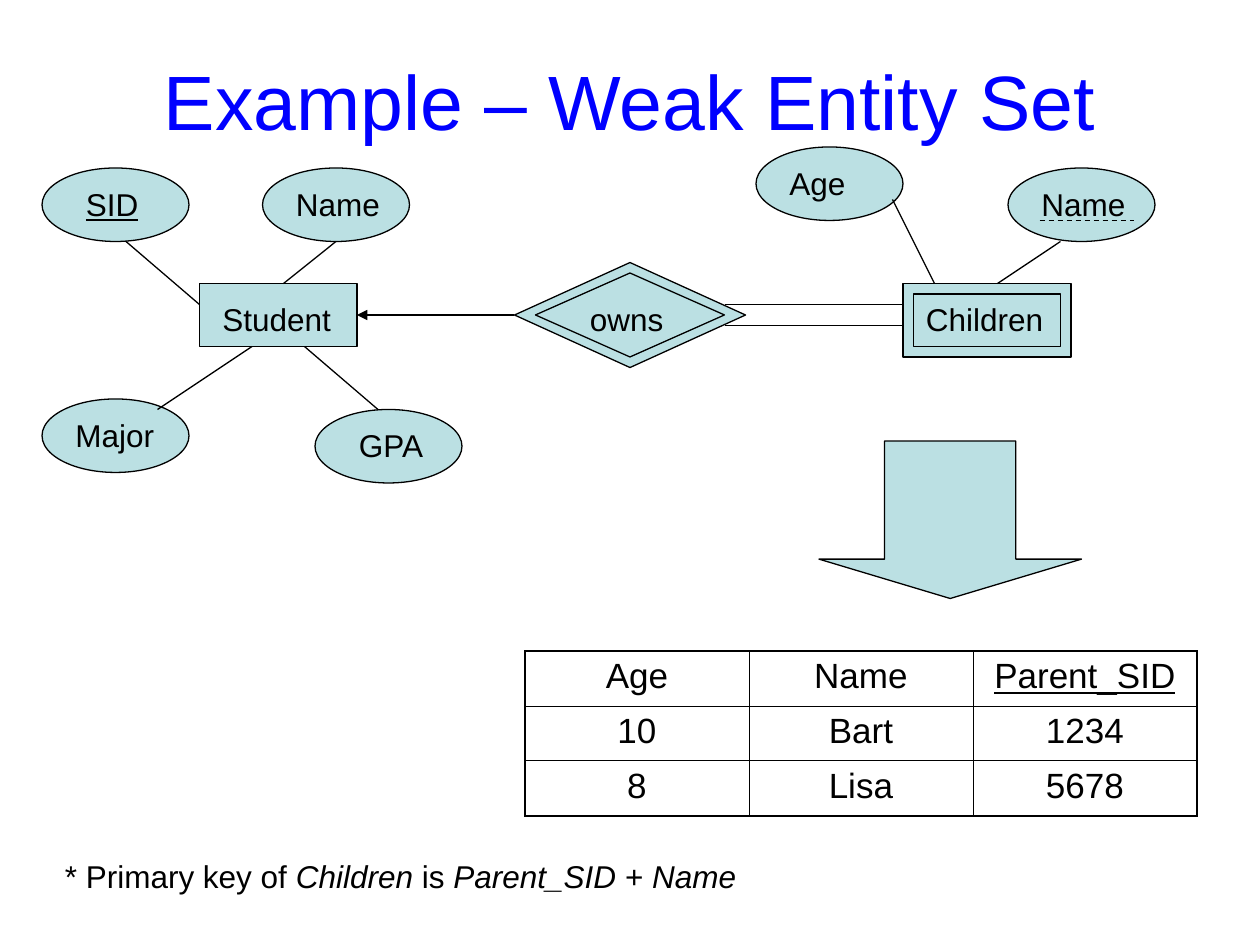
from lxml.etree import SubElement
from pptx import Presentation
from pptx.dml.color import RGBColor
from pptx.enum.dml import MSO_LINE
from pptx.enum.shapes import MSO_CONNECTOR, MSO_SHAPE
from pptx.enum.text import MSO_ANCHOR, PP_ALIGN
from pptx.oxml import parse_xml
from pptx.oxml.ns import nsdecls, qn
from pptx.util import Pt

HUE = {"ink": "000000", "title": "0000FF", "fill": "BBE0E3", "paper": "FFFFFF"}
UNIT = 6  # the diagram sits on a grid of 6 points

# Content: places are in grid units
TITLE = "Example – Weak Entity Set"
OVAL, RECT, RHOMB = MSO_SHAPE.OVAL, MSO_SHAPE.RECTANGLE, MSO_SHAPE.FLOWCHART_DECISION
ATTRS = [(25, 16), (4, 16), (4, 38), (30, 39), (96, 16), (72, 14)]
OUTER = [
    (RECT, 19, 27, 15, 6),
    (RHOMB, 49, 25, 22, 10),
    (RECT, 86, 27, 16, 7),
    (MSO_SHAPE.DOWN_ARROW, 78, 42, 25, 15),
]
INNER = [(RECT, 87, 28, 14, 5), (RHOMB, 51, 26, 18, 8)]
LINES = [
    (12, 23, 19, 29), (32, 23, 27, 27), (36, 39, 29, 33), (15, 39, 24, 33),
    (101, 23, 95, 27), (85, 19, 89, 27), (69, 29, 86, 29), (69, 31, 86, 31),
]
ARROW = (49, 30, 34, 30)
DASH = (99, 21, 108, 21)
# Each label: left, top, width, then runs of text and style
LABELS = [
    (20, 28, 13, [("Student", "")]),
    (7, 17, 10, [("SID", "u")]),
    (27, 17, 11, [("Name", "")]),
    (6, 39, 10, [("Major", "")]),
    (33, 40, 9, [("GPA", "")]),
    (98, 17, 11, [("Name", "")]),
    (74, 15, 10, [("Age", "")]),
    (87, 28, 16, [("Children", "")]),
    (55, 28, 10, [("owns", "")]),
    (5, 81, 109, [("* Primary key of ", ""), ("Children", "i"), (" is ", ""),
                  ("Parent_SID", "i"), (" + ", ""), ("Name", "i")]),
]
ROWS = [("Age", "Name", "Parent_SID"), ("10", "Bart", "1234"), ("8", "Lisa", "5678")]
KEY = "Parent_SID"

deck = Presentation()
deck.slide_width, deck.slide_height = Pt(720), Pt(540)
slide = deck.slides.add_slide(deck.slide_layouts[6])
shapes = slide.shapes


def rgb(name):
    return RGBColor.from_string(HUE[name])


def grid(*nums):
    return [Pt(n * UNIT) for n in nums]


def style(run, size, hue="ink", mark=""):
    font = run.font
    font.name, font.size = "Arial", Pt(size)
    font.color.rgb = rgb(hue)
    if mark == "u":
        font.underline = True
    if mark == "i":
        font.italic = True


def draw(kind, *box):
    shape = shapes.add_shape(kind, *grid(*box))
    shape.shadow.inherit = False
    shape.fill.solid()
    shape.fill.fore_color.rgb = rgb("fill")
    shape.line.color.rgb = rgb("ink")
    shape.line.width = Pt(0.75)
    return shape


def link(*ends):
    line = shapes.add_connector(MSO_CONNECTOR.STRAIGHT, *grid(*ends))
    line.line.color.rgb = rgb("ink")
    line.line.width = Pt(0.75)
    SubElement(line._element.spPr, qn("a:effectLst"))
    return line


def edge(side, width):
    return parse_xml(
        f'<a:ln{side} {nsdecls("a")} w="{Pt(width)}"><a:solidFill>'
        f'<a:srgbClr val="{HUE["ink"]}"/></a:solidFill></a:ln{side}>')


# Title
box = shapes.add_textbox(Pt(36), Pt(12), Pt(648), Pt(90))
frame = box.text_frame
frame.word_wrap = True
frame.vertical_anchor = MSO_ANCHOR.MIDDLE
frame.text = TITLE
frame.paragraphs[0].alignment = PP_ALIGN.CENTER
style(frame.paragraphs[0].runs[0], 44, "title")

# Table: heavy outer border, thin inner rules
last = len(ROWS) - 1
table = shapes.add_table(3, 3, Pt(300), Pt(372), Pt(384), Pt(94.2)).table
table.first_row = table.horz_banding = False
for r, row in enumerate(ROWS):
    table.rows[r].height = Pt(31.4)
    for c, text in enumerate(row):
        cell = table.cell(r, c)
        cell.text = text
        cell.fill.solid()
        cell.fill.fore_color.rgb = rgb("paper")
        para = cell.text_frame.paragraphs[0]
        para.alignment = PP_ALIGN.CENTER
        style(para.runs[0], 20, mark="u" if text == KEY else "")
        rims = {"L": c == 0, "R": c == last, "T": r == 0, "B": r == last}
        for n, (side, rim) in enumerate(rims.items()):
            cell._tc.tcPr.insert(n, edge(side, 1.08 if rim else 0.45))

# Diagram: outer shapes, then lines, then the inner outlines
for x, y in ATTRS:
    draw(OVAL, x, y, 14, 7)
for item in OUTER:
    shape = draw(*item)
shape.adjustments[0], shape.adjustments[1] = 0.5, 0.3  # head of the down arrow
shape.adjustments[1] = 0.25
for ends in LINES:
    link(*ends)
link(*DASH).line.dash_style = MSO_LINE.DASH
tip = link(*ARROW).line._get_or_add_ln()
SubElement(tip, qn("a:tailEnd"), type="triangle")
for item in INNER:
    draw(*item)

# Labels and footnote
for x, y, wide, runs in LABELS:
    frame = shapes.add_textbox(*grid(x, y, wide, 4.8)).text_frame
    frame.word_wrap = True
    for text, mark in runs:
        run = frame.paragraphs[0].add_run()
        run.text = text
        style(run, 18, mark=mark)

deck.save("out.pptx")
